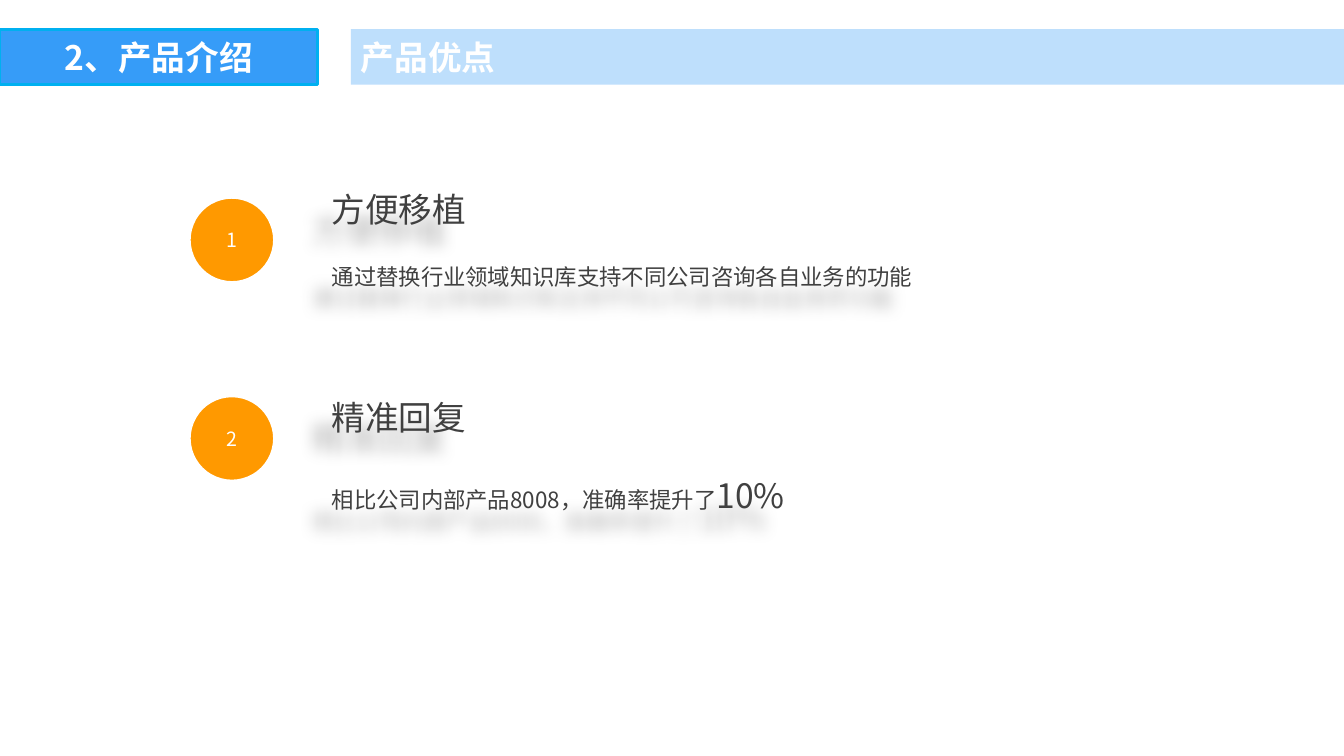
from dataclasses import dataclass

from pptx import Presentation
from pptx.dml.color import RGBColor
from pptx.enum.shapes import MSO_SHAPE
from pptx.enum.text import MSO_ANCHOR, MSO_AUTO_SIZE, PP_ALIGN
from pptx.oxml.ns import qn
from pptx.util import Pt
from lxml import etree

RECTANGLE, OVAL = MSO_SHAPE.RECTANGLE, MSO_SHAPE.OVAL
MIDDLE = MSO_ANCHOR.MIDDLE
LEFT, CENTER = PP_ALIGN.LEFT, PP_ALIGN.CENTER
NO_AUTOFIT = MSO_AUTO_SIZE.NONE
TITLE_ONLY = 5
PX = 9144  # EMU, 100 px to the inch


@dataclass(frozen=True)
class Theme:
    font: str = "Noto Sans CJK SC"
    section: str = "369CF8"
    section_edge: str = "00B0F0"
    band: str = "A3D2FC"
    badge: str = "FF9900"
    white: str = "FFFFFF"
    ink: str = "404040"
    shadow: str = "000000"
    heading_size: int = 24
    detail_size: int = 16
    badge_size: int = 14


THEME = Theme()


def rgb(color):
    return RGBColor.from_string(color)


def px(*lengths):
    return [length * PX for length in lengths]


def fill_solid(shape, color, alpha=None):
    shape.fill.solid()
    shape.fill.fore_color.rgb = rgb(color)
    if alpha is not None:
        tint = shape.fill._xPr.find(qn("a:solidFill"))[0]
        etree.SubElement(tint, qn("a:alpha"), val=str(alpha * 1000))


def cast_text_shadow(box):
    """Give an unfilled box a soft shadow, which falls from its text to the lower left."""
    effects = etree.SubElement(box._element.spPr, qn("a:effectLst"))
    shadow = etree.SubElement(
        effects, qn("a:outerShdw"), blurRad=str(15 * PX), dist=str(28 * PX),
        dir="8100000", algn="tr", rotWithShape="0")
    color = etree.SubElement(shadow, qn("a:srgbClr"), val=THEME.shadow)
    etree.SubElement(color, qn("a:alpha"), val="30000")


def write(shape, runs, color, align=LEFT, bold=False, inset=None, wrap=True, spacing=1.0):
    """Fill the shape with one paragraph of (text, size) runs."""
    frame = shape.text_frame
    frame.auto_size = NO_AUTOFIT
    frame.word_wrap = wrap
    frame.vertical_anchor = MIDDLE
    if inset is not None:
        frame.margin_left = frame.margin_right = inset
        frame.margin_top = frame.margin_bottom = inset
    paragraph = frame.paragraphs[0]
    paragraph.alignment = align
    paragraph.line_spacing = spacing
    for text, size in runs:
        run = paragraph.add_run()
        run.text = text
        run.font.size = Pt(size)
        run.font.bold = bold
        run.font.color.rgb = rgb(color)
        run.font.name = THEME.font
        etree.SubElement(run._r.get_or_add_rPr(), qn("a:ea"), typeface=THEME.font)


def add_header(slide, left, top, width, height, section, topic):
    section_width, gap = 315, 33
    tab = slide.shapes.add_shape(RECTANGLE, *px(left, top, section_width, height))
    tab.shadow.inherit = False
    fill_solid(tab, THEME.section)
    tab.line.color.rgb = rgb(THEME.section_edge)
    tab.line.width = Pt(2)
    write(tab, [(section, THEME.heading_size)], THEME.white, CENTER, bold=True)

    band = slide.shapes.title
    band_left = left + section_width + gap
    band.left, band.top, band.width, band.height = px(
        band_left, top, left + width - band_left, height)
    fill_solid(band, THEME.band, alpha=70)
    write(band, [(topic, THEME.heading_size)], THEME.white, bold=True)


def add_badge(slide, left, top, number):
    badge = slide.shapes.add_shape(OVAL, *px(left, top, 88, 88))
    badge.shadow.inherit = False
    fill_solid(badge, THEME.badge)
    badge.line.color.rgb = rgb(THEME.white)
    badge.line.width = Pt(4.5)
    write(badge, [(str(number), THEME.badge_size)], THEME.white, CENTER, inset=0, wrap=False)


def add_shadowed_text(slide, left, top, width, height, runs):
    box = slide.shapes.add_textbox(*px(left, top, width, height))
    write(box, runs, THEME.ink, inset=0, spacing=1.2)
    cast_text_shadow(box)


def add_advantage(slide, left, top, width, number, heading, detail, badge_drop, detail_drop):
    text_left = left + 143
    text_width = width - 143
    add_badge(slide, left, top + badge_drop, number)
    add_shadowed_text(slide, text_left, top, 271, 51, [(heading, THEME.heading_size)])
    add_shadowed_text(slide, text_left, top + detail_drop, text_width, 95, detail)


def main():
    deck = Presentation()
    deck.slide_width, deck.slide_height = px(1333, 750)
    slide = deck.slides.add_slide(deck.slide_layouts[TITLE_ONLY])
    add_header(slide, 0, 29, 1333, 55, "2、产品介绍", "产品优点")

    portability = [("通过替换行业领域知识库支持不同公司咨询各自业务的功能", THEME.detail_size)]
    accuracy = [("相比公司内部产品8008，准确率提升了", THEME.detail_size),
                ("10%", THEME.heading_size)]
    add_advantage(slide, 186, 178, 741, 1, "方便移植", portability,
                  badge_drop=16, detail_drop=46)
    add_advantage(slide, 186, 384, 678, 2, "精准回复", accuracy,
                  badge_drop=7, detail_drop=56)
    deck.save("out.pptx")


if __name__ == "__main__":
    main()
